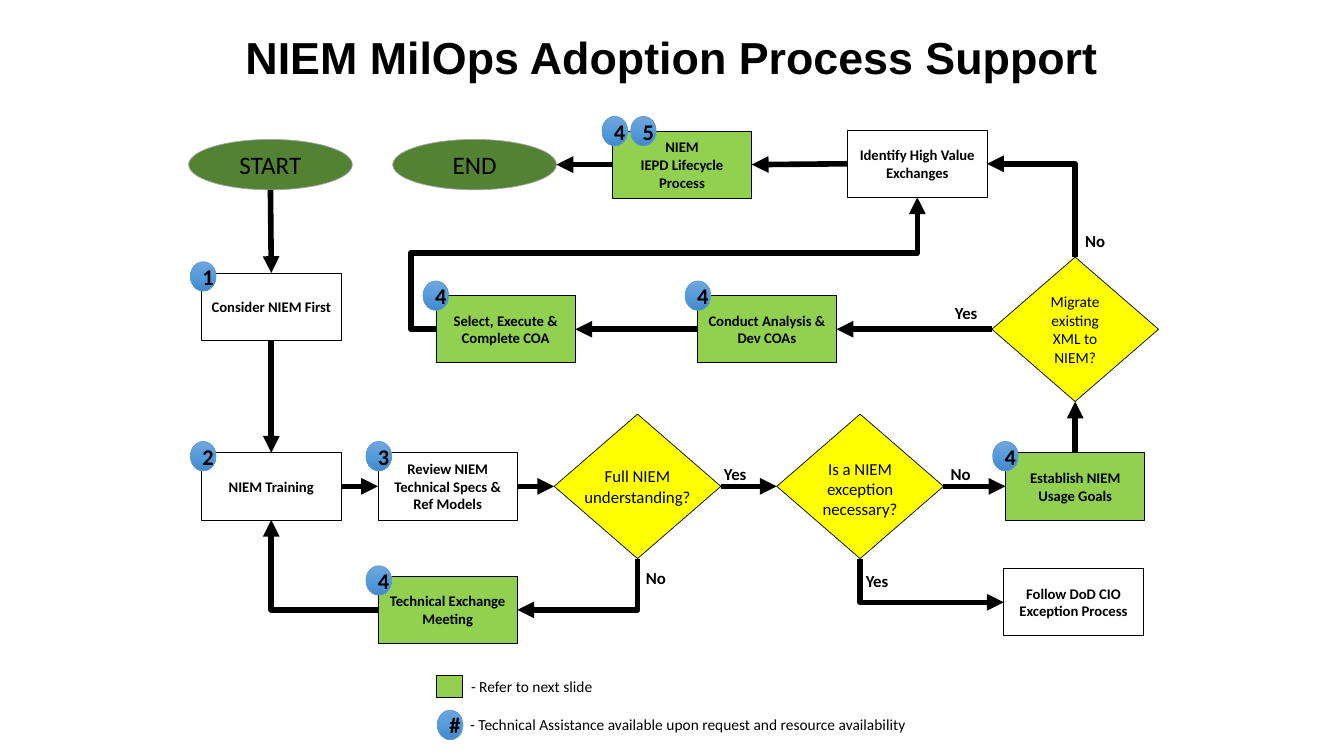
from copy import deepcopy
from dataclasses import dataclass

from lxml.etree import SubElement
from pptx import Presentation
from pptx.dml.color import RGBColor
from pptx.enum.shapes import MSO_CONNECTOR, MSO_SHAPE
from pptx.enum.text import MSO_ANCHOR, PP_ALIGN
from pptx.oxml.ns import qn
from pptx.util import Emu, Inches, Pt

COLUMNS, ROWS = 160, 90
BLACK, WHITE, GREEN, YELLOW, DARK_GREEN = "000000", "FFFFFF", "92D050", "FFFF00", "548235"
BADGE_GRADIENT = ((0, "71A6DB"), (0.5, "559BDB"), (1, "448ACA"))
TOP, LEFT, BOTTOM, RIGHT = range(4)


@dataclass(frozen=True)
class Kind:
    outline: MSO_SHAPE
    width: float
    height: float
    size: float
    bold: bool = False
    border: str = BLACK


TERMINAL = Kind(MSO_SHAPE.OVAL, 19.5, 6, 18, border="A5A5A5")
TASK = Kind(MSO_SHAPE.RECTANGLE, 16.6, 8, 10.5, bold=True)
DECISION = Kind(MSO_SHAPE.FLOWCHART_DECISION, 19.85, 17.2, 11)
BADGE = Kind(MSO_SHAPE.OVAL, 3.05, 3.5, 16, bold=True, border="5B9BD5")
SWATCH = Kind(MSO_SHAPE.RECTANGLE, 3.05, 2.6, 11)


@dataclass(frozen=True)
class Step:
    kind: Kind
    x: float
    y: float
    text: str
    fill: str = WHITE

    def side(self, site: int) -> tuple[float, float]:
        half_width, half_height = self.kind.width / 2, self.kind.height / 2
        across, down = ((0, -1), (-1, 0), (0, 1), (1, 0))[site]
        return self.x + across * half_width, self.y + down * half_height


@dataclass(frozen=True)
class Label:
    x: float
    y: float
    width: float
    height: float
    text: str
    size: float = 12
    bold: bool = False
    align: PP_ALIGN = PP_ALIGN.LEFT
    font: str = "Calibri"


START = Step(TERMINAL, 32.2, 19.6, "START", DARK_GREEN)
END = Step(TERMINAL, 56.5, 19.6, "END", DARK_GREEN)
CONSIDER = Step(TASK, 32.3, 36.5, "Consider NIEM First")
TRAINING = Step(TASK, 32.3, 57.9, "NIEM Training")
REVIEW = Step(TASK, 53.3, 57.9, "Review NIEM Technical Specs & Ref Models")
MEETING = Step(TASK, 53.3, 72.6, "Technical Exchange Meeting", GREEN)
UNDERSTANDING = Step(DECISION, 75.9, 57.9, "", YELLOW)
EXCEPTION = Step(DECISION, 102.4, 57.9, "", YELLOW)
GOALS = Step(TASK, 128, 57.9, "Establish NIEM Usage Goals", GREEN)
FOLLOW = Step(TASK, 127.8, 71.7, "Follow DoD CIO Exception Process")
MIGRATE = Step(DECISION, 128, 39.2, "Migrate existing XML to NIEM?", YELLOW)
CONDUCT = Step(TASK, 91.3, 39.2, "Conduct Analysis & Dev COAs", GREEN)
SELECT = Step(TASK, 60.2, 39.2, "Select, Execute & Complete COA", GREEN)
IDENTIFY = Step(TASK, 109.2, 19.5, "Identify High Value Exchanges")
LIFECYCLE = Step(TASK, 81.2, 19.6, "NIEM\vIEPD Lifecycle Process", GREEN)
STEPS = (START, END, CONSIDER, TRAINING, REVIEW, MEETING, UNDERSTANDING, EXCEPTION,
         GOALS, FOLLOW, MIGRATE, CONDUCT, SELECT, IDENTIFY, LIFECYCLE)

STRAIGHT_FLOWS = (
    (START, BOTTOM, CONSIDER, TOP), (CONSIDER, BOTTOM, TRAINING, TOP),
    (TRAINING, RIGHT, REVIEW, LEFT), (REVIEW, RIGHT, UNDERSTANDING, LEFT),
    (UNDERSTANDING, RIGHT, EXCEPTION, LEFT), (EXCEPTION, RIGHT, GOALS, LEFT),
    (GOALS, TOP, MIGRATE, BOTTOM), (MIGRATE, LEFT, CONDUCT, RIGHT),
    (CONDUCT, LEFT, SELECT, RIGHT), (IDENTIFY, LEFT, LIFECYCLE, RIGHT),
    (LIFECYCLE, LEFT, END, RIGHT),
)
CORNER_FLOWS = (
    (MEETING, LEFT, TRAINING, BOTTOM), (UNDERSTANDING, BOTTOM, MEETING, RIGHT),
    (EXCEPTION, BOTTOM, FOLLOW, LEFT), (MIGRATE, TOP, IDENTIFY, RIGHT),
)
BADGES = (
    (24.2, 32.9, "1"), (24.2, 54.3, "2"), (45.1, 54.3, "3"), (45.1, 69.1, "4"),
    (119.7, 54.3, "4"), (83.1, 35.2, "4"), (51.9, 35.2, "4"),
    (73.2, 15.6, "4"), (76.6, 15.6, "5"), (53.6, 86.3, "#"),
)
ANSWERS = ((75.7, 67, "No"), (85, 54.6, "Yes"), (128, 26.9, "No"),
           (112.5, 35.5, "Yes"), (101.9, 67.3, "Yes"), (112, 54.6, "No"))
LABELS = (
    Label(20, 3, 120, 7.7, "NIEM MilOps Adoption Process Support", 32, True,
          PP_ALIGN.CENTER, "Arial"),
    Label(67.6, 54.9, 16.6, 6, "Full NIEM\nunderstanding?", align=PP_ALIGN.CENTER),
    Label(94.1, 54, 16.6, 8.5, "Is a NIEM exception necessary?", align=PP_ALIGN.CENTER),
    Label(54.9, 80, 65.5, 3.5, "- Refer to next slide", 11),
    Label(54.8, 84.6, 65.5, 3.5,
          "- Technical Assistance available upon request and resource availability", 11),
    *(Label(x, y, 9, 3.6, answer, bold=True) for x, y, answer in ANSWERS),
)
LOOP_START = SELECT.side(LEFT)
LOOP_MIDDLE = (87.2, 30.1)
LOOP_OUTSET = -0.085

deck = Presentation()
deck.slide_width, deck.slide_height = Inches(13.333), Inches(7.5)
slide = deck.slides.add_slide(deck.slide_layouts[6])


def col(count: float) -> Emu:
    return Emu(round(deck.slide_width * count / COLUMNS))


def row(count: float) -> Emu:
    return Emu(round(deck.slide_height * count / ROWS))


def colour(code: str) -> RGBColor:
    return RGBColor.from_string(code)


def write(frame, text: str, size: float, bold: bool, align: PP_ALIGN, font: str = "Calibri") -> None:
    frame.text = text
    frame.word_wrap = True
    for paragraph in frame.paragraphs:
        paragraph.alignment = align
        for run in paragraph.runs:
            run.font.name, run.font.size, run.font.bold = font, Pt(size), bold
            run.font.color.rgb = colour(BLACK)


def draw_step(step: Step):
    kind = step.kind
    node = slide.shapes.add_shape(kind.outline, col(step.x - kind.width / 2),
                                  row(step.y - kind.height / 2), col(kind.width), row(kind.height))
    node.shadow.inherit = False
    node.fill.solid()
    node.fill.fore_color.rgb = colour(step.fill)
    node.line.color.rgb = colour(kind.border)
    node.line.width = Pt(0.5)
    node.text_frame.vertical_anchor = MSO_ANCHOR.MIDDLE
    if step.text:
        write(node.text_frame, step.text, kind.size, kind.bold, PP_ALIGN.CENTER)
    return node


def draw_badge(x: float, y: float, mark: str) -> None:
    badge = draw_step(Step(BADGE, x, y, mark))
    badge.fill.gradient()
    badge.fill.gradient_angle = 270
    stops = badge.element.spPr.find(".//" + qn("a:gsLst"))
    stops.insert(1, deepcopy(stops[0]))
    for stop, (position, code) in zip(badge.fill.gradient_stops, BADGE_GRADIENT):
        stop.position, stop.color.rgb = position, colour(code)


def draw_label(label: Label) -> None:
    box = slide.shapes.add_textbox(col(label.x), row(label.y), col(label.width), row(label.height))
    write(box.text_frame, label.text, label.size, label.bold, label.align, label.font)


def draw_line(kind: MSO_CONNECTOR, begin: tuple[float, float], end: tuple[float, float],
              arrow: bool = True):
    line = slide.shapes.add_connector(kind, col(begin[0]), row(begin[1]), col(end[0]), row(end[1]))
    line.line.color.rgb = colour(BLACK)
    line.line.width = Pt(4)
    if arrow:
        SubElement(line.line._get_or_add_ln(), qn("a:tailEnd"), type="triangle")
    SubElement(line.element.spPr, qn("a:effectLst"))
    return line


def draw_corner(begin: tuple[float, float], end: tuple[float, float], vertical_first: bool) -> None:
    turn = 0
    if vertical_first:
        across, down = end[0] - begin[0], end[1] - begin[1]
        x, y = (begin[0] + end[0]) / 2, (begin[1] + end[1]) / 2
        reach = abs(down) / 2
        rise = abs(across) / 2 * (1 if across * down > 0 else -1)
        begin, end = (x - reach, y + rise), (x + reach, y - rise)
        turn = 90 if down > 0 else 270
    line = draw_line(MSO_CONNECTOR.ELBOW, begin, end)
    line.element.spPr.find(qn("a:prstGeom")).set("prst", "bentConnector2")
    line.element.spPr.find(qn("a:xfrm")).set("rot", str(turn * 60000))


nodes = {step: draw_step(step) for step in STEPS}
for source, exit_side, target, entry_side in STRAIGHT_FLOWS:
    flow = draw_line(MSO_CONNECTOR.STRAIGHT, source.side(exit_side), target.side(entry_side))
    if source.kind is not TERMINAL:
        flow.begin_connect(nodes[source], exit_side)
    if target.kind is not TERMINAL:
        flow.end_connect(nodes[target], entry_side)
for source, exit_side, target, entry_side in CORNER_FLOWS:
    draw_corner(source.side(exit_side), target.side(entry_side), exit_side in (TOP, BOTTOM))

loop = draw_line(MSO_CONNECTOR.ELBOW, LOOP_START, LOOP_MIDDLE, arrow=False)
adjustments = loop.element.spPr.find(qn("a:prstGeom")).get_or_add_avLst()
SubElement(adjustments, qn("a:gd"), name="adj1", fmla=f"val {round(LOOP_OUTSET * 100000)}")
draw_corner(LOOP_MIDDLE, IDENTIFY.side(BOTTOM), vertical_first=False)

draw_step(Step(SWATCH, 53.5, 81.7, "", GREEN))
for badge_spot in BADGES:
    draw_badge(*badge_spot)
for caption in LABELS:
    draw_label(caption)

deck.save("out.pptx")
